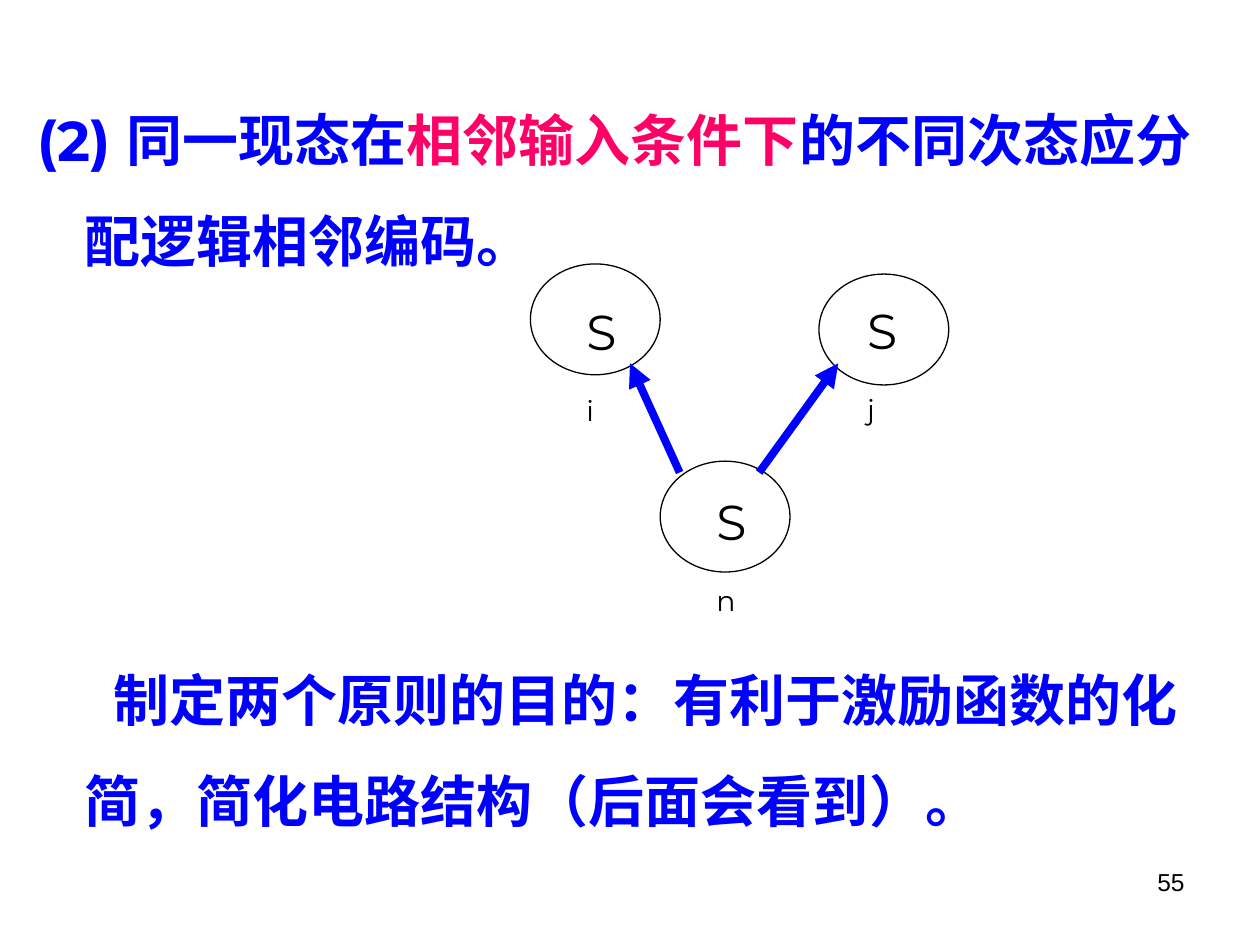
import pptx
import pptx.util
import pptx.dml.color
import pptx.enum.shapes
import pptx.enum.text
import pptx.oxml
from dataclasses import dataclass

Pt = pptx.util.Pt
RGB = pptx.dml.color.RGBColor
PP_ALIGN = pptx.enum.text.PP_ALIGN
MSO = pptx.enum.shapes
NS = 'xmlns:a="http://schemas.openxmlformats.org/drawingml/2006/main"'


@dataclass
class Theme:
    ink: str = "000000"
    blue: str = "0000FF"
    pink: str = "FF0066"
    face: str = "Montserrat"
    number_face: str = "Arial"
    body_size: float = 32
    state_size: float = 28
    number_size: float = 14
    outline: float = 0.75
    arrow: float = 4.5


class Deck:
    def __init__(self, prs, layout, theme):
        self.theme = theme
        self.s = prs.slides.add_slide(layout)

    def style(self, r, size, color, face=None, bold=False):
        r.font.size = Pt(size)
        r.font.name = face or self.theme.face
        r.font.bold = bold
        r.font.color.rgb = RGB.from_string(color)

    def body(self, box, paragraphs):
        title, sp = self.s.placeholders
        title.element.getparent().remove(title.element)
        sp.left, sp.top, sp.width, sp.height = map(Pt, box)
        tf = sp.text_frame
        tf.auto_size = pptx.enum.text.MSO_AUTO_SIZE.NONE
        tf.vertical_anchor = pptx.enum.text.MSO_ANCHOR.TOP
        for i, (indent, before, runs) in enumerate(paragraphs):
            p = tf.add_paragraph() if i else tf.paragraphs[0]
            pPr = p._p.get_or_add_pPr()
            pPr.set("marL", str(Pt(27)))
            pPr.set("indent", str(Pt(indent)))
            pPr.append(pptx.oxml.parse_xml(f"<a:buNone {NS}/>"))
            p.line_spacing = 1.5
            p.space_before = Pt(before)
            for text, color in runs:
                r = p.add_run()
                r.text = text
                self.style(r, self.theme.body_size, color, bold=True)

    def text(self, box, text):
        sp = self.s.shapes.add_textbox(*map(Pt, box))
        tf = sp.text_frame
        tf.word_wrap = True
        tf.text = text
        return tf.paragraphs[0]

    def number(self, box, text):
        p = self.text(box, text)
        p.alignment = PP_ALIGN.RIGHT
        self.style(p.runs[0], self.theme.number_size, self.theme.ink, self.theme.number_face)

    def state(self, circle, label, subscript):
        sp = self.s.shapes.add_shape(MSO.MSO_SHAPE.OVAL, *map(Pt, circle))
        sp.shadow.inherit = False
        sp.fill.background()
        sp.line.color.rgb = RGB.from_string(self.theme.ink)
        sp.line.width = Pt(self.theme.outline)
        p = self.text(label, "S")
        sub = p.add_run()
        sub.text = subscript
        for r in p.runs:
            self.style(r, self.theme.state_size, self.theme.ink)
        sub.font._element.set("baseline", "-25000")

    def arrow(self, start, end):
        c = self.s.shapes.add_connector(
            MSO.MSO_CONNECTOR.STRAIGHT, *map(Pt, start + end))
        c.line.color.rgb = RGB.from_string(self.theme.blue)
        c.line.width = Pt(self.theme.arrow)
        spPr = c._element.spPr
        spPr.get_or_add_ln().append(
            pptx.oxml.parse_xml(f'<a:tailEnd {NS} type="triangle"/>'))
        spPr.append(pptx.oxml.parse_xml(f"<a:effectLst {NS}/>"))


def main():
    prs = pptx.Presentation()
    prs.slide_width, prs.slide_height = Pt(720), Pt(540)
    theme = Theme()
    deck = Deck(prs, prs.slide_layouts[1], theme)

    deck.body((14.2, 37.44, 686.16, 444.96), [
        (-27, 0, [("(2) 同一现态在", theme.blue),
                  ("相邻输入条件下", theme.pink),
                  ("的不同次态应分配逻辑相邻编码。", theme.blue)]),
        (16.5, 205, [("制定两个原则的目的：有利于激励函数的化简，简化电路结构（后面会看到）。",
                      theme.blue)]),
    ])
    deck.number((516.24, 491.76, 167.76, 37.44), "55")

    w, h = 74.16, 63.36
    states = [
        ((303.12, 150.8), (328, 168.8, 33.84), "i"),
        ((468, 156.6), (488.4, 168, 33.84), "j"),
        ((377.28, 263.52), (402.2, 277.2, 39.6), "n"),
    ]
    for corner, label, subscript in states:
        deck.state(corner + (w, h), label + (45.36,), subscript)

    for start, end in [((433.8, 270), (479, 207.6)),
                       ((388.4, 270), (360, 207.6))]:
        deck.arrow(start, end)

    prs.save("out.pptx")


if __name__ == "__main__":
    main()
